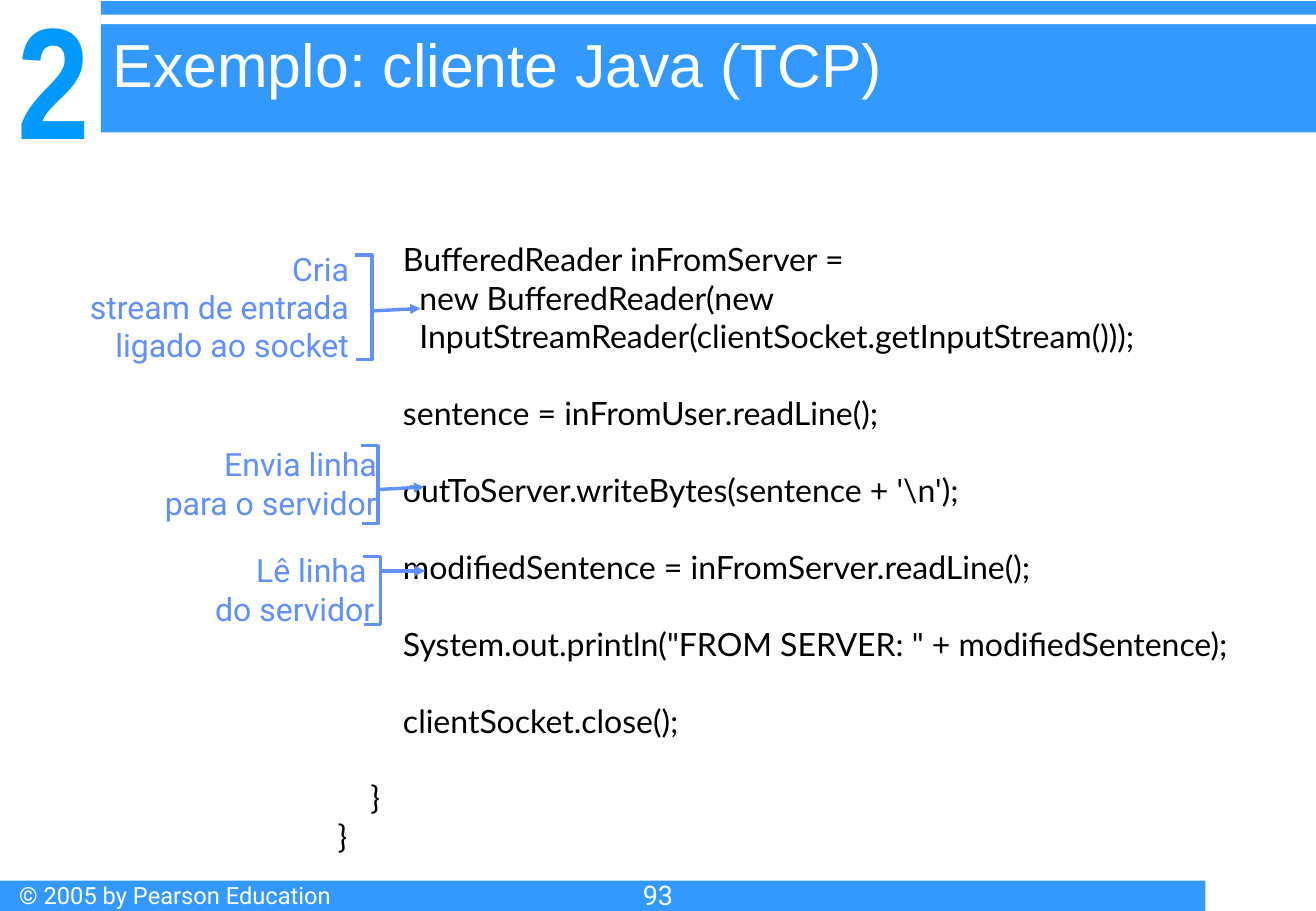
from lxml import etree
from pptx import Presentation
from pptx.dml.color import RGBColor
from pptx.enum import shapes, text
from pptx.oxml import ns
from pptx.util import Inches, Pt

BLUE = RGBColor(0x33, 0x99, 0xFF)
CHAPTER_BLUE = RGBColor(0x00, 0x99, 0xFF)
NOTE_BLUE = RGBColor(0x61, 0x8F, 0xFD)
WHITE = RGBColor(0xFF, 0xFF, 0xFF)
BLACK = RGBColor(0, 0, 0)

LEFT, CENTER, RIGHT = text.PP_ALIGN.LEFT, text.PP_ALIGN.CENTER, text.PP_ALIGN.RIGHT
TOP, MIDDLE, BOTTOM = text.MSO_ANCHOR.TOP, text.MSO_ANCHOR.MIDDLE, text.MSO_ANCHOR.BOTTOM

BARS = [
    ((0.83, 0.01, 10, 1.08), BLUE),
    ((0.83, 0.12, 10, 0.08), WHITE),
    ((0, 7.25, 9.92, 0.25), BLUE),
]
CHAPTER = "2"
TITLE = "Exemplo: cliente Java (TCP)"
COPYRIGHT = "© 2005 by Pearson Education"
PAGE = "93"

# Code in blocks, one blank line apart
CODE = [
    ["        BufferedReader inFromServer =",
     "          new BufferedReader(new",
     "          InputStreamReader(clientSocket.getInputStream()));"],
    ["        sentence = inFromUser.readLine();"],
    ["        outToServer.writeBytes(sentence + '\\n');"],
    ["        modifiedSentence = inFromServer.readLine();"],
    ['        System.out.println("FROM SERVER: " + modifiedSentence);'],
    ["        clientSocket.close();"],
    ["    }", "}"],
]
CODE_GAP = 22.8

# Lines, label box, bracket (left, top, bottom), arrow (start y, end x, end y)
NOTES = [
    (["Cria", "stream de entrada", "ligado ao socket"],
     (0.14, 2, 2.83, 1.05), (2.92, 2.1, 2.96), (2.56, 3.46, 2.54)),
    (["Envia linha", "para o servidor"],
     (1.12, 3.61, 2.08, 0.74), (2.97, 3.67, 4.31), (4.03, 3.49, 4.01)),
    (["Lê linha ", "do servidor"],
     (1.58, 4.48, 1.6, 0.74), (2.99, 4.58, 5.14), (4.7, 3.5, 4.7)),
]
BRACKET_W = 0.14


def add_bar(s, box, color):
    sp = s.shapes.add_shape(shapes.MSO_SHAPE.RECTANGLE, *map(Inches, box))
    sp.shadow.inherit = False
    sp.fill.solid()
    sp.fill.fore_color.rgb = color
    sp.line.fill.background()


def add_text(s, box, blocks, font, size, color, align=LEFT, anchor=TOP,
             bold=False, gap=0, insets=(0.1, 0.05)):
    """Write blocks of lines, with gap points before each block but the first."""
    tf = s.shapes.add_textbox(*map(Inches, box)).text_frame
    side, edge = map(Inches, insets)
    frame = dict(word_wrap=True, vertical_anchor=anchor, margin_left=side,
                 margin_right=side, margin_top=edge, margin_bottom=edge)
    for name, value in frame.items():
        setattr(tf, name, value)
    p = None
    for b, block in enumerate(blocks):
        for i, line in enumerate(block):
            p = tf.add_paragraph() if p is not None else tf.paragraphs[0]
            p.alignment = align
            if b and not i and gap:
                p.space_before = Pt(gap)
            r = p.add_run()
            r.text = line
            for name, value in dict(name=font, size=Pt(size), bold=bold).items():
                setattr(r.font, name, value)
            r.font.color.rgb = color


def style_line(sp):
    sp.line.color.rgb = NOTE_BLUE
    sp.line.width = Pt(2)


def add_bracket(s, left, top, bottom):
    right = left + BRACKET_W
    points = [(right, top), (right, bottom), (left + 0.01, bottom)]
    builder = s.shapes.build_freeform(Inches(left), Inches(top))
    builder.add_line_segments([(Inches(x), Inches(y)) for x, y in points], close=False)
    sp = builder.convert_to_shape()
    sp.shadow.inherit = False
    sp.fill.background()
    style_line(sp)


def add_arrow(s, *ends):
    sp = s.shapes.add_connector(shapes.MSO_CONNECTOR.STRAIGHT, *map(Inches, ends))
    style_line(sp)
    etree.SubElement(sp.line._get_or_add_ln(), ns.qn("a:tailEnd"), type="triangle")
    etree.SubElement(sp._element.spPr, ns.qn("a:effectLst"))


def main():
    prs = Presentation()
    prs.slide_width, prs.slide_height = Inches(10.83), Inches(7.5)
    s = prs.slides.add_slide(prs.slide_layouts[6])

    for box, color in BARS:
        add_bar(s, box, color)
    add_text(s, (0.03, -0.16, 0.83, 1.57), [[CHAPTER]], "Arial Narrow", 94,
             CHAPTER_BLUE, CENTER, BOTTOM, bold=True, insets=(0, 0))
    add_text(s, (0.06, 7.2, 3.33, 0.34), [[COPYRIGHT]], "Roboto", 14, WHITE)
    add_text(s, (0.83, 0.17, 10, 0.83), [[TITLE]], "Arial", 36, WHITE)
    add_text(s, (2.68, 1.92, 7.94, 5.17), CODE, "Lato", 19, BLACK,
             anchor=MIDDLE, gap=CODE_GAP)

    for lines, box, bracket, (start_y, end_x, end_y) in NOTES:
        add_text(s, box, [lines], "Roboto", 19, NOTE_BLUE, RIGHT, MIDDLE)
        add_bracket(s, *bracket)
        add_arrow(s, bracket[0] + BRACKET_W, start_y, end_x, end_y)

    add_text(s, (0, 7.18, 10.83, 0.5), [[PAGE]], "Roboto", 16, WHITE, CENTER)
    prs.save("out.pptx")


if __name__ == "__main__":
    main()
